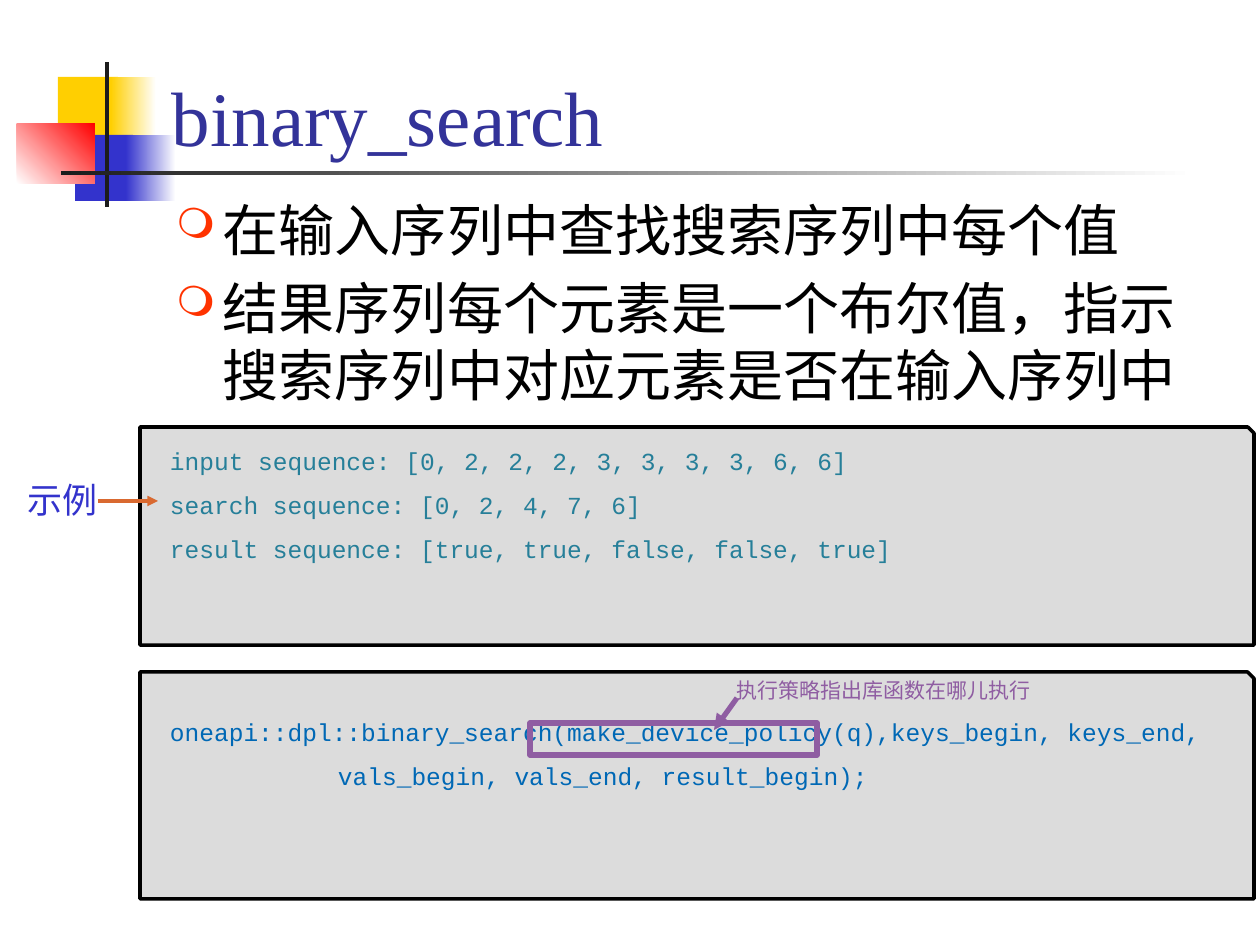
from lxml import etree
from pptx import Presentation
from pptx.dml.color import RGBColor
from pptx.enum.shapes import MSO_CONNECTOR, MSO_SHAPE
from pptx.enum.text import MSO_ANCHOR, PP_ALIGN
from pptx.oxml.ns import qn
from pptx.util import Emu, Pt

PX = 914400 / 126
RECTANGLE = MSO_SHAPE.RECTANGLE
SNIPPED = MSO_SHAPE.SNIP_1_RECTANGLE
PROCESS = MSO_SHAPE.FLOWCHART_PROCESS
STRAIGHT = MSO_CONNECTOR.STRAIGHT
TOP, BOTTOM = MSO_ANCHOR.TOP, MSO_ANCHOR.BOTTOM
RIGHT = PP_ALIGN.RIGHT

COLORS = {
    "white": "FFFFFF", "black": "000000", "yellow": "FFCF01", "blue": "3333CC",
    "red": "FF0000", "rule": "1C1C1C", "title": "333399", "bullet": "FF3300",
    "panel": "DCDCDC", "sequence": "267F99", "call": "0068B5",
    "orange": "D96930", "purple": "8F5DA2",
}
SERIF, MONO, SANS = "Times New Roman", "Courier New", "Calibri"


def px(value):
    return Emu(round(value * PX))


def color(name):
    return RGBColor.from_string(COLORS[name])


def add_box(slide, kind, box, fill=None, line=None, width=0):
    """Draw a preset shape; a pair of fill names makes a gradient."""
    shape = slide.shapes.add_shape(kind, *map(px, box))
    shape.shadow.inherit = False
    if fill is None:
        shape.fill.background()
    elif isinstance(fill, tuple):
        shape.fill.gradient()
        for stop, name in zip(shape.fill.gradient_stops, fill):
            stop.color.rgb = color(name)
        shape.fill.gradient_angle = 0
    else:
        shape.fill.solid()
        shape.fill.fore_color.rgb = color(fill)
    if line:
        shape.line.color.rgb = color(line)
        shape.line.width = Pt(width)
    else:
        shape.line.fill.background()
    return shape


def add_text(slide, box, lines, font, size, tint, inset=(0, 0), anchor=TOP, **formats):
    """Write one paragraph per line and return the paragraphs."""
    frame = slide.shapes.add_textbox(*map(px, box)).text_frame
    frame.word_wrap = True
    frame.vertical_anchor = anchor
    frame.margin_left = frame.margin_right = px(inset[0])
    frame.margin_top = frame.margin_bottom = px(inset[1])
    for index, text in enumerate(lines):
        paragraph = frame.paragraphs[0] if index == 0 else frame.add_paragraph()
        run = paragraph.add_run()
        run.text = text
        run.font.color.rgb = color(tint)
        for name, value in {"name": font, "size": Pt(size)}.items():
            setattr(run.font, name, value)
        for name, value in formats.items():
            setattr(paragraph, name, value)
    return frame.paragraphs


def add_arrow(slide, start, end, tint, width):
    arrow = slide.shapes.add_connector(STRAIGHT, *map(px, start + end))
    arrow.line.color.rgb = color(tint)
    arrow.line.width = Pt(width)
    etree.SubElement(arrow.line._get_or_add_ln(), qn("a:tailEnd"), type="triangle")
    etree.SubElement(arrow._element.spPr, qn("a:effectLst"))


def add_bullet(paragraph, hanging):
    properties = paragraph._p.get_or_add_pPr()
    properties.set("marL", str(px(hanging)))
    properties.set("indent", str(-px(hanging)))
    tint = etree.SubElement(properties, qn("a:buClr"))
    etree.SubElement(tint, qn("a:srgbClr"), val=COLORS["bullet"])
    etree.SubElement(properties, qn("a:buSzPct"), val="75000")
    etree.SubElement(properties, qn("a:buChar"), char="❍")


def add_ornament(slide, left, top):
    """Coloured squares with the crossing rules."""
    parts = [
        ((41, 15, 60, 66), "yellow"),
        ((94, 15, 45, 66), ("yellow", "white")),
        ((58, 73, 58, 66), "blue"),
        ((109, 73, 50, 66), ("blue", "white")),
        ((0, 62, 78, 60), ("white", "red")),
        ((88, 0, 4, 145), "rule"),
        ((44, 109, 1134, 4), ("rule", "white")),
    ]
    for (x, y, width, height), fill in parts:
        shape = add_box(slide, RECTANGLE, (left + x, top + y, width, height), fill)
        if fill == ("white", "red"):
            shape.fill.gradient_angle = 45


def add_heading(slide, box):
    add_text(slide, box, ["binary_search"], SERIF, 44, "title", (13, 6), BOTTOM)


def add_points(slide, box):
    points = ["在输入序列中查找搜索序列中每个值",
              "结果序列每个元素是一个布尔值，指示搜索序列中对应元素是否在输入序列中"]
    paragraphs = add_text(slide, box, points, SERIF, 32, "black", (13, 6))
    for paragraph in paragraphs:
        add_bullet(paragraph, 47)
    paragraphs[1].space_before = Pt(6.4)


def add_code_panel(slide, box, lines, tint, offset):
    left, top, width, height = box
    panel = add_box(slide, SNIPPED, box, "panel", "black", 2)
    panel.adjustments[0] = 0.028
    text_box = (left + 30, top + offset, width - 29, height - offset - 20)
    return add_text(slide, text_box, lines, MONO, 14, tint, line_spacing=1.5)


def add_example(slide, box):
    """Sequences with the label and arrow on their left."""
    left, top = box[:2]
    lines = ["input sequence: [0, 2, 2, 2, 3, 3, 3, 3, 6, 6]",
             "search sequence: [0, 2, 4, 7, 6]",
             "result sequence: [true, true, false, false, true]"]
    add_code_panel(slide, box, lines, "sequence", 4)
    add_arrow(slide, (left - 42, top + 74), (left + 18, top + 74), "orange", 2)
    add_text(slide, (left - 134, top + 56, 92, 38), ["示例"], SERIF, 20, "blue",
             alignment=RIGHT, line_spacing=0.9)


def add_call(slide, box):
    """Function call with its execution policy marked."""
    left, top = box[:2]
    lines = ["oneapi::dpl::binary_search(make_device_policy(q),keys_begin, keys_end,",
             "vals_begin, vals_end, result_begin);"]
    paragraphs = add_code_panel(slide, box, lines, "call", 30)
    paragraphs[1]._p.get_or_add_pPr().set("marL", str(px(168)))
    add_box(slide, PROCESS, (left + 390, top + 51, 287, 32), None, "purple", 3)
    add_text(slide, (left + 597, top + 8, 353, 23), ["执行策略指出库函数在哪儿执行"],
             SANS, 12, "purple", line_spacing=0.9)
    add_arrow(slide, (left + 597, top + 26), (left + 574, top + 58), "purple", 3)


def main():
    presentation = Presentation()
    presentation.slide_width, presentation.slide_height = px(1260), px(945)
    slide = presentation.slides.add_slide(presentation.slide_layouts[6])
    add_ornament(slide, 17, 62)
    add_heading(slide, (159, 10, 1074, 158))
    add_points(slide, (163, 189, 1071, 230))
    add_example(slide, (140, 427, 1114, 218))
    add_call(slide, (140, 672, 1114, 227))
    presentation.save("out.pptx")


if __name__ == "__main__":
    main()
